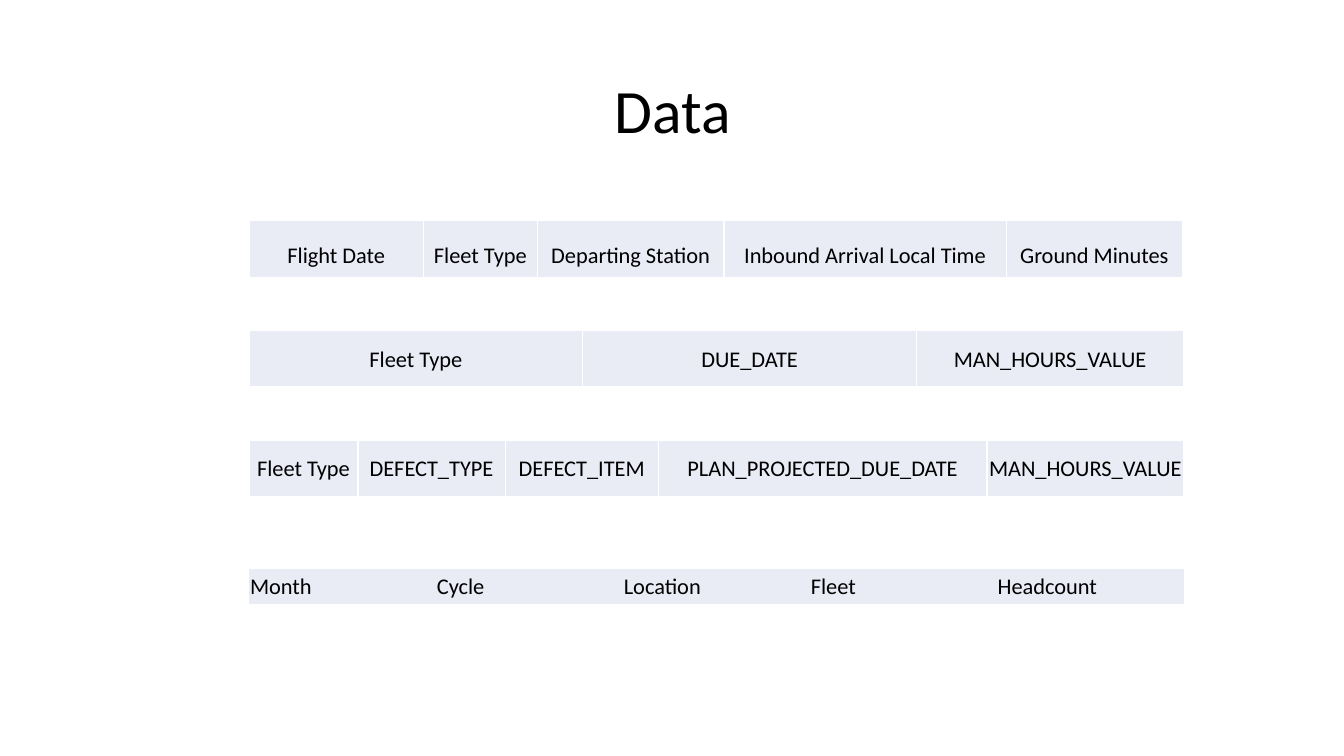
"""Build the Data slide, showing the column headings of four data sets."""
from dataclasses import dataclass

from lxml.etree import SubElement
from pptx import Presentation
from pptx.dml.color import RGBColor
from pptx.enum.text import MSO_ANCHOR as Anchor, PP_ALIGN as Align
from pptx.oxml.ns import qn
from pptx.slide import Slide
from pptx.table import _Cell as Cell
from pptx.text.text import _Paragraph as Paragraph
from pptx.util import Inches, Pt


@dataclass(frozen=True)
class Theme:
    """Colours and type sizes of the slide."""
    font: str = "Calibri"
    ink: str = "000000"
    band: str = "E9EBF5"
    rule: str = "FFFFFF"
    title_size: int = 44
    heading_size: int = 16
    rule_width: int = 1


@dataclass(frozen=True)
class DataSet:
    """One row of column headings, with lengths in inches."""
    top: float
    height: float
    headings: tuple[str, ...]
    widths: tuple[float, ...]
    align: Align = Align.CENTER
    line_spacing: float = 1.0
    ruled: bool = True


THEME = Theme()
LEFT = 2.47
TOTAL_WIDTH = 9.27
MARGIN = 0.01

DATA_SETS = (
    DataSet(2.19, 0.56,
            ("Flight Date", "Fleet Type", "Departing Station",
             "Inbound Arrival Local Time", "Ground Minutes"),
            (1.73, 1.13, 1.85, 2.8, 1.75), line_spacing=1.5),
    DataSet(3.28, 0.56,
            ("Fleet Type", "DUE_DATE", "MAN_HOURS_VALUE"),
            (3.31, 3.31, 2.65)),
    DataSet(4.37, 0.56,
            ("Fleet Type", "DEFECT_TYPE", "DEFECT_ITEM",
             "PLAN_PROJECTED_DUE_DATE", "MAN_HOURS_VALUE"),
            (1.08, 1.46, 1.52, 3.26, 1.95)),
    DataSet(5.64, 0.35,
            ("Month", "Cycle", "Location", "Fleet", "Headcount"),
            (TOTAL_WIDTH / 5,) * 5, align=Align.LEFT, ruled=False),
)


def write(paragraph: Paragraph, text: str, size: int, align: Align, spacing: float) -> None:
    """Fill a paragraph with text in the theme font."""
    paragraph.text = text
    paragraph.alignment = align
    paragraph.line_spacing = spacing
    paragraph.font.name = THEME.font
    paragraph.font.size = Pt(size)
    paragraph.font.color.rgb = RGBColor.from_string(THEME.ink)


def set_borders(cell: Cell, ruled: bool) -> None:
    """Give a cell thin rules on all sides, or none."""
    properties = cell._tc.get_or_add_tcPr()
    for side in ("a:lnL", "a:lnR", "a:lnT", "a:lnB"):
        border = SubElement(properties, qn(side), w=str(Pt(THEME.rule_width)))
        if ruled:
            SubElement(SubElement(border, qn("a:solidFill")), qn("a:srgbClr"), val=THEME.rule)
        else:
            SubElement(border, qn("a:noFill"))


def add_title(slide: Slide, title: str) -> None:
    """Add the centred slide title."""
    frame = slide.shapes.add_textbox(
        Inches(0.92), Inches(0.4), Inches(11.5), Inches(1.45)).text_frame
    frame.word_wrap = True
    frame.vertical_anchor = Anchor.MIDDLE
    write(frame.paragraphs[0], title, THEME.title_size, Align.CENTER, 0.9)


def add_data_set(slide: Slide, data: DataSet) -> None:
    """Add one data set as a single-row table."""
    table = slide.shapes.add_table(
        1, len(data.headings), Inches(LEFT), Inches(data.top),
        Inches(TOTAL_WIDTH), Inches(data.height)).table
    table.first_row = False
    table.horz_banding = False
    for index, (heading, width) in enumerate(zip(data.headings, data.widths)):
        table.columns[index].width = Inches(width)
        cell = table.cell(0, index)
        cell.margin_left = cell.margin_right = cell.margin_top = Inches(MARGIN)
        cell.margin_bottom = 0
        cell.vertical_anchor = Anchor.MIDDLE
        set_borders(cell, data.ruled)
        cell.fill.solid()
        cell.fill.fore_color.rgb = RGBColor.from_string(THEME.band)
        write(cell.text_frame.paragraphs[0], heading, THEME.heading_size,
              data.align, data.line_spacing)


def main() -> None:
    """Build and save the presentation."""
    deck = Presentation()
    deck.slide_width, deck.slide_height = Inches(13.33), Inches(7.5)
    slide = deck.slides.add_slide(deck.slide_layouts[6])
    add_title(slide, "Data")
    for data in DATA_SETS:
        add_data_set(slide, data)
    deck.save("out.pptx")


if __name__ == "__main__":
    main()
